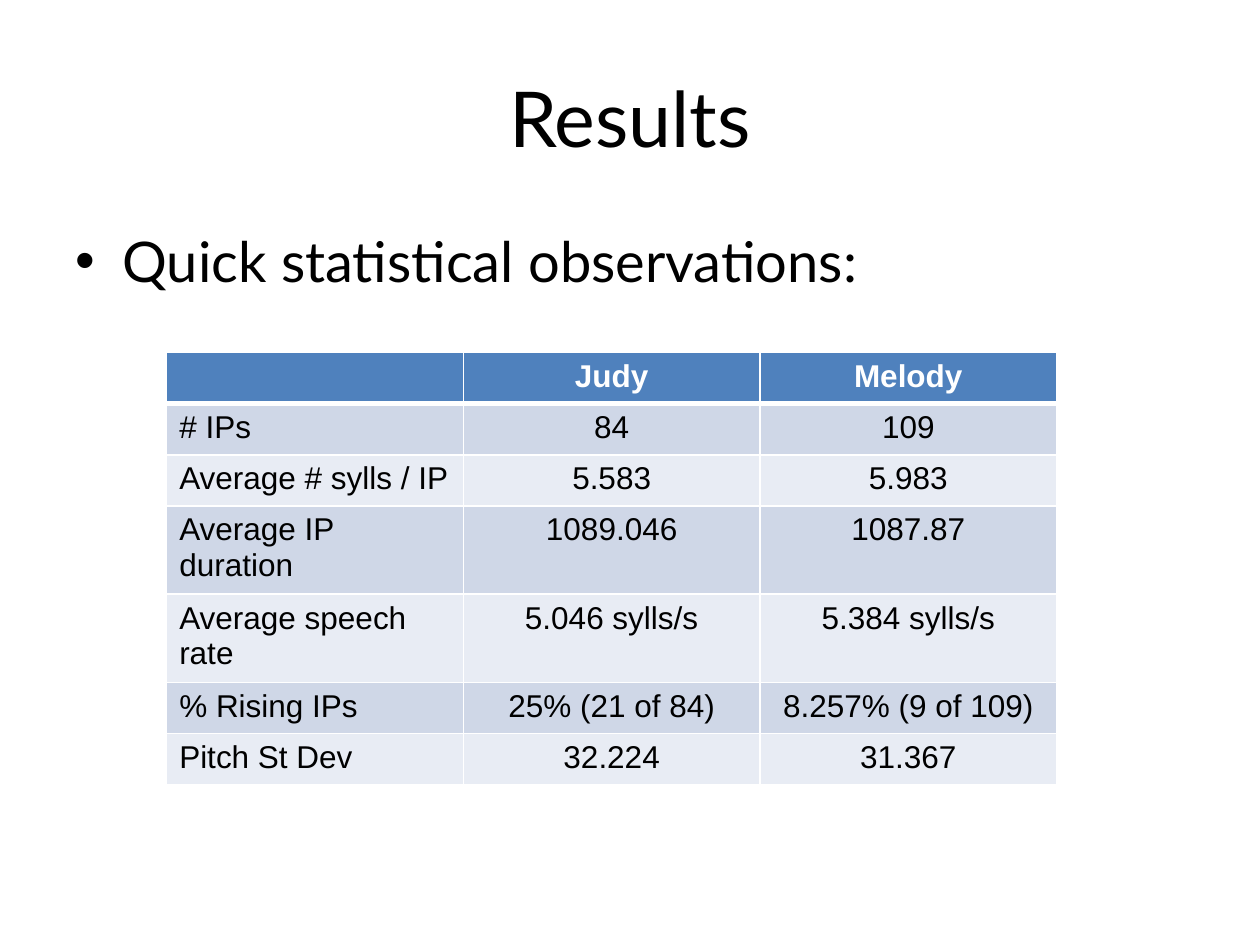
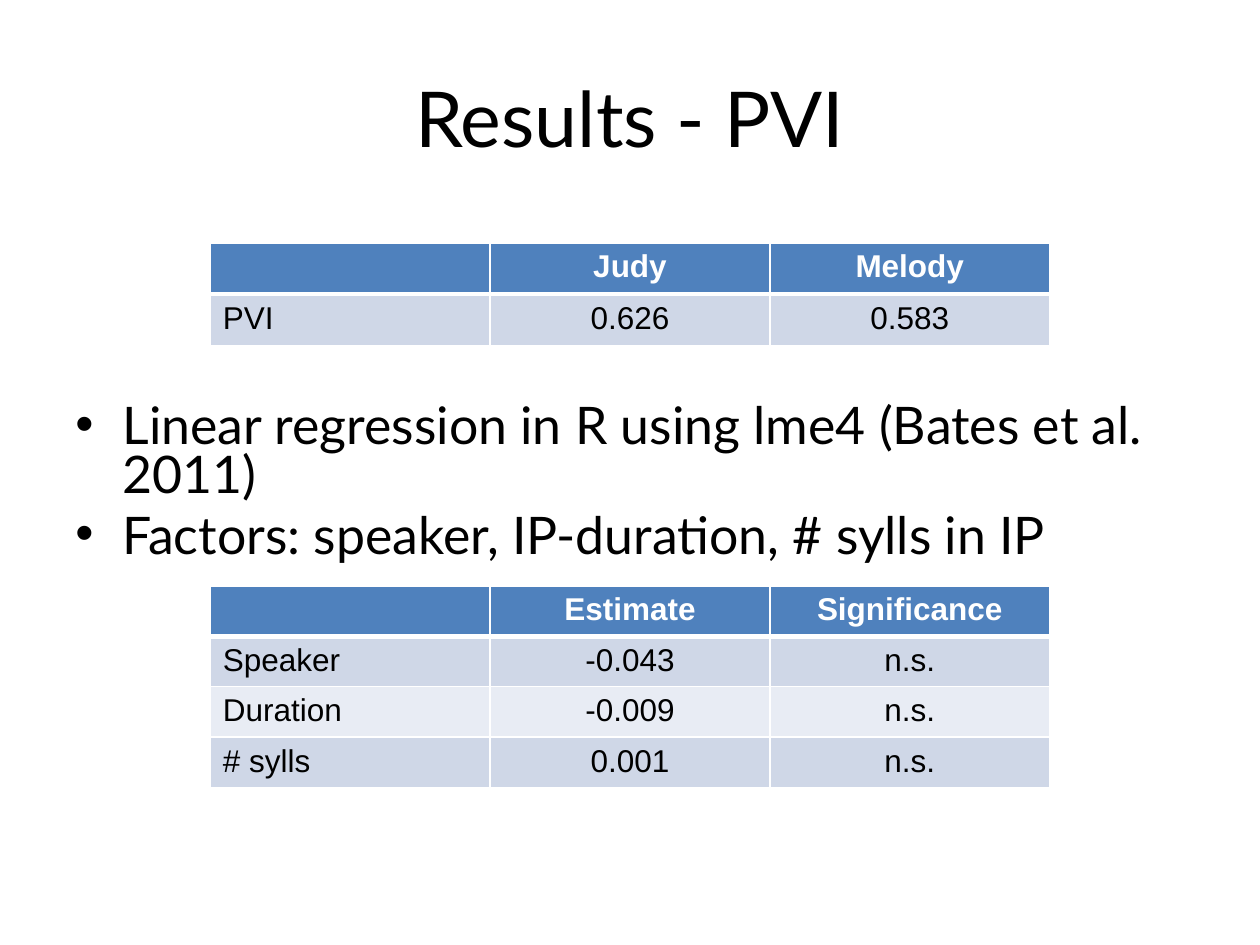
"""Build two slides of speech statistics with tables and bullet points."""
from dataclasses import dataclass

from lxml.etree import SubElement
from pptx import Presentation
from pptx.dml.color import RGBColor
from pptx.enum.text import MSO_ANCHOR, PP_ALIGN
from pptx.oxml.ns import qn
from pptx.util import Cm, Pt


@dataclass(frozen=True)
class Theme:
    text: str = "000000"
    paper: str = "FFFFFF"
    header: str = "4F81BD"
    bands: tuple = ("CFD7E7", "E8ECF4")
    text_font: str = "Lato"
    table_font: str = "Arial"
    title_size: float = 44
    body_size: float = 32
    small_body_size: float = 29.6
    table_size: float = 18
    thin: float = 1
    thick: float = 3
    left: float = 1.27
    width: float = 22.86


class Deck:
    def __init__(self, theme):
        self.theme = theme
        self.prs = Presentation()
        self.prs.slide_width, self.prs.slide_height = Cm(25.4), Cm(19.05)
        self.s = None

    def add_slide(self, title):
        t = self.theme
        self.s = self.prs.slides.add_slide(self.prs.slide_layouts[5])
        sp = self.s.shapes.title
        sp.left, sp.top, sp.width, sp.height = Cm(t.left), Cm(0.76), Cm(t.width), Cm(3.18)
        sp.text_frame.vertical_anchor = MSO_ANCHOR.MIDDLE
        p = sp.text_frame.paragraphs[0]
        p.alignment = PP_ALIGN.CENTER
        self.add_run(p, title, t.text_font, t.title_size, t.text)

    def add_run(self, p, text, font, size, color, bold=False):
        r = p.add_run()
        r.text = text
        r.font.name, r.font.size, r.font.bold = font, Pt(size), bold
        r.font.color.rgb = RGBColor.from_string(color)

    def add_bullets(self, top, height, items, size, line_spacing=1.0, gap=0):
        t = self.theme
        sp = self.s.shapes.add_textbox(Cm(t.left), Cm(top), Cm(t.width), Cm(height))
        tf = sp.text_frame
        tf.word_wrap = True
        for i, item in enumerate(items):
            p = tf.add_paragraph() if i else tf.paragraphs[0]
            p.line_spacing = line_spacing
            p.space_before = Pt(gap if i else 0)
            pPr = p._p.get_or_add_pPr()
            pPr.set("marL", str(Cm(0.95)))
            pPr.set("indent", str(-Cm(0.95)))
            SubElement(pPr, qn("a:buFont"), typeface="Arial")
            SubElement(pPr, qn("a:buChar"), char="•")
            self.add_run(p, item, t.text_font, size, t.text)

    def add_borders(self, cell, widths):
        tcPr = cell._tc.get_or_add_tcPr()
        for side, width in widths.items():
            ln = SubElement(tcPr, qn(f"a:ln{side}"), w=str(Pt(width)))
            fill = SubElement(ln, qn("a:solidFill"))
            SubElement(fill, qn("a:srgbClr"), val=self.theme.paper)

    def add_table(self, left, top, col_width, row_height, rows):
        t = self.theme
        n_rows, n_cols = len(rows), len(rows[0])
        table = self.s.shapes.add_table(
            n_rows, n_cols, Cm(left), Cm(top),
            Cm(col_width * n_cols), Cm(row_height * n_rows)).table
        for col in table.columns:
            col.width = Cm(col_width)
        for i, row in enumerate(rows):
            table.rows[i].height = Cm(row_height)
            is_header = i == 0
            color = t.paper if is_header else t.text
            fill = t.header if is_header else t.bands[(i - 1) % 2]
            widths = {"L": t.thin, "R": t.thin,
                      "T": t.thick if i == 1 else t.thin,
                      "B": t.thick if is_header else t.thin}
            for j, text in enumerate(row):
                cell = table.cell(i, j)
                self.add_borders(cell, widths)
                cell.fill.solid()
                cell.fill.fore_color.rgb = RGBColor.from_string(fill)
                p = cell.text_frame.paragraphs[0]
                p.alignment = PP_ALIGN.CENTER if j or is_header else PP_ALIGN.LEFT
                if text:
                    self.add_run(p, text, t.table_font, t.table_size, color, is_header)


def main():
    theme = Theme()
    deck = Deck(theme)
    speakers = ("", "Judy", "Melody")

    deck.add_slide("Results")
    deck.add_bullets(4.45, 12.57, ["Quick statistical observations:"], theme.body_size)
    deck.add_table(3.36, 7.11, 5.98, 1.03, [
        speakers,
        ("# IPs", "84", "109"),
        ("Average # sylls / IP", "5.583", "5.983"),
        ("Average IP duration", "1089.046", "1087.87"),
        ("Average speech rate", "5.046 sylls/s", "5.384 sylls/s"),
        ("% Rising IPs", "25% (21 of 84)", "8.257% (9 of 109)"),
        ("Pitch St Dev", "32.224", "31.367"),
    ])

    deck.add_slide("Results - PVI")
    deck.add_bullets(8.03, 3.78, [
        "Linear regression in R using lme4 (Bates et al. 2011)",
        "Factors: speaker, IP-duration, # sylls in IP",
    ], theme.small_body_size, line_spacing=0.8, gap=5.9)
    deck.add_table(4.24, 11.81, 5.64, 0.96, [
        ("", "Estimate", "Significance"),
        ("Speaker", "-0.043", "n.s."),
        ("Duration", "-0.009", "n.s."),
        ("# sylls", "0.001", "n.s."),
    ])
    deck.add_table(4.24, 4.9, 5.64, 1.03, [speakers, ("PVI", "0.626", "0.583")])

    deck.prs.save("out.pptx")


if __name__ == "__main__":
    main()
